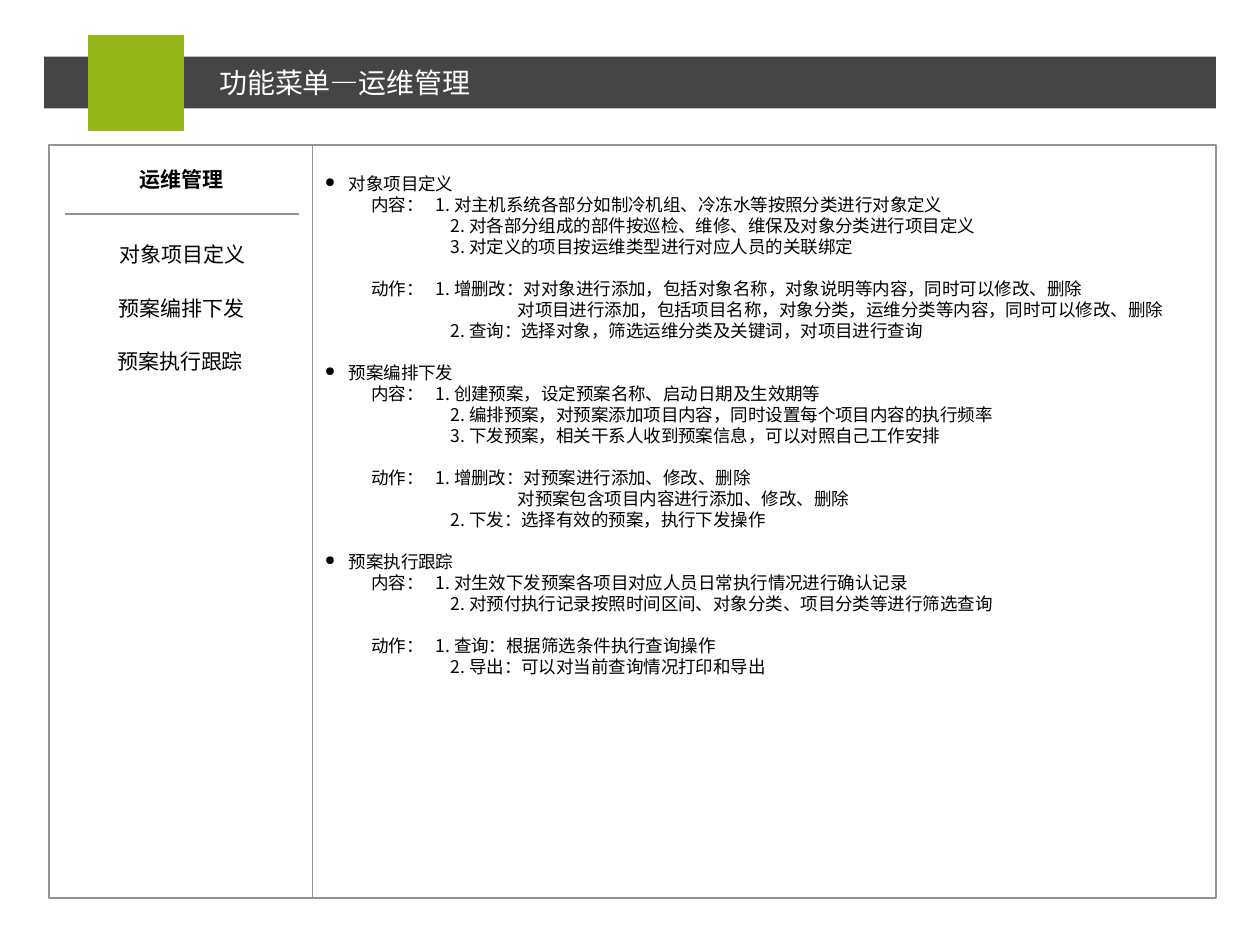
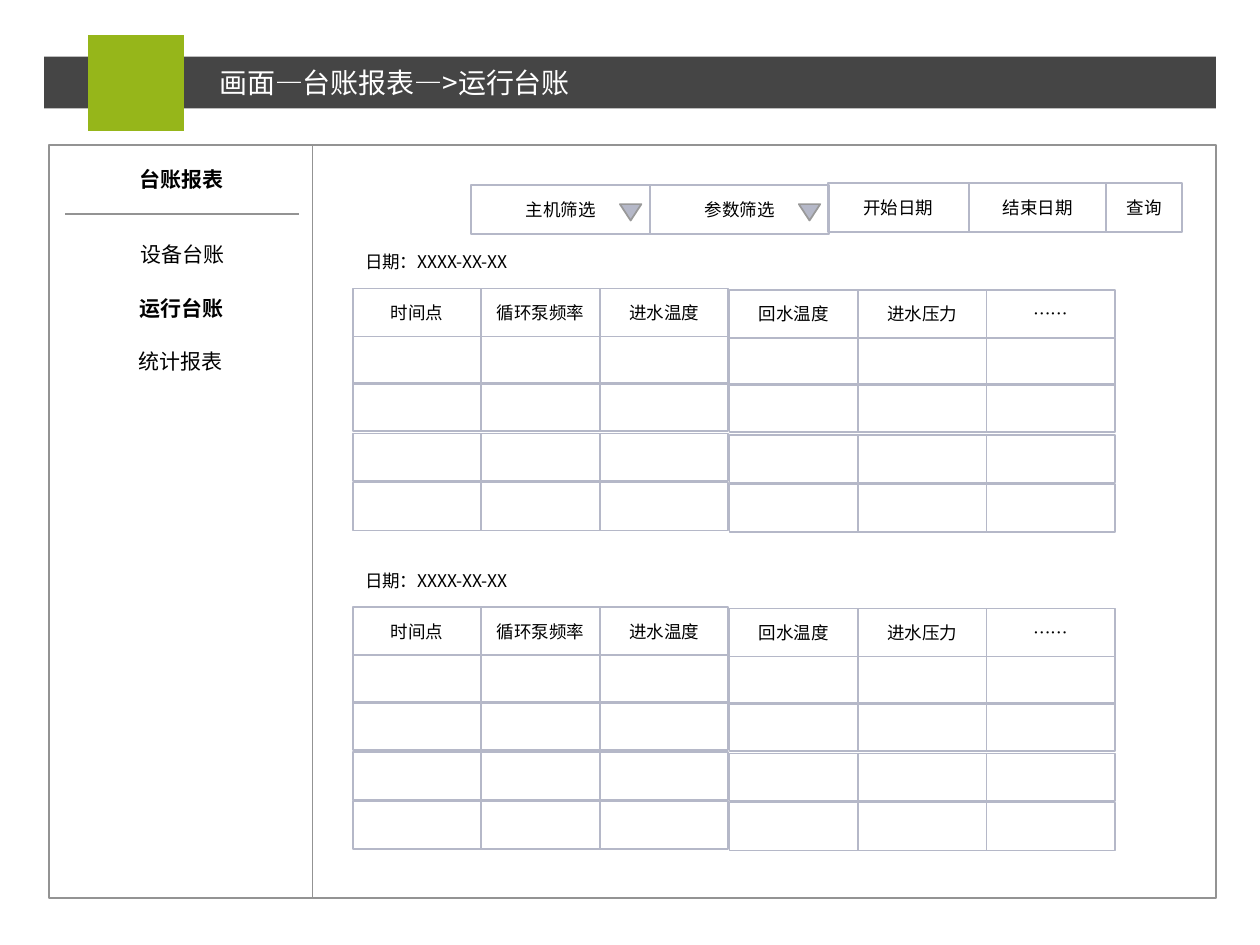
from lxml import etree
from pptx import Presentation
from pptx.dml.color import RGBColor
from pptx.enum import shapes, text
from pptx.oxml.ns import qn
from pptx.util import Inches, Pt

FONT = "Noto Sans CJK SC"
COLORS = {
    "band": "454545",
    "accent": "96B61A",
    "frame": "939393",
    "grid": "B5B8C8",
    "arrow_line": "999999",
    "white": "FFFFFF",
    "black": "000000",
}
RECT = shapes.MSO_SHAPE.RECTANGLE
CENTER, LEFT = text.PP_ALIGN.CENTER, text.PP_ALIGN.LEFT
MIDDLE = text.MSO_ANCHOR.MIDDLE
LINE_HEIGHT = Pt(12.03)

# Each section: heading, then (label, numbered lines) groups.
# A line that starts with a digit is an item, any other continues the item above.
FUNCTIONS = [
    ("对象项目定义", [
        ("内容：", ["1. 对主机系统各部分如制冷机组、冷冻水等按照分类进行对象定义",
                  "2. 对各部分组成的部件按巡检、维修、维保及对象分类进行项目定义",
                  "3. 对定义的项目按运维类型进行对应人员的关联绑定"]),
        ("动作：", ["1. 增删改：对对象进行添加，包括对象名称，对象说明等内容，同时可以修改、删除",
                  "对项目进行添加，包括项目名称，对象分类，运维分类等内容，同时可以修改、删除",
                  "2. 查询：选择对象，筛选运维分类及关键词，对项目进行查询"]),
    ]),
    ("预案编排下发", [
        ("内容：", ["1. 创建预案，设定预案名称、启动日期及生效期等",
                  "2. 编排预案，对预案添加项目内容，同时设置每个项目内容的执行频率",
                  "3. 下发预案，相关干系人收到预案信息，可以对照自己工作安排"]),
        ("动作：", ["1. 增删改：对预案进行添加、修改、删除",
                  "对预案包含项目内容进行添加、修改、删除",
                  "2. 下发：选择有效的预案，执行下发操作"]),
    ]),
    ("预案执行跟踪", [
        ("内容：", ["1. 对生效下发预案各项目对应人员日常执行情况进行确认记录",
                  "2. 对预付执行记录按照时间区间、对象分类、项目分类等进行筛选查询"]),
        ("动作：", ["1. 查询：根据筛选条件执行查询操作",
                  "2. 导出：可以对当前查询情况打印和导出"]),
    ]),
]

MENU_PLACES = [(0.53, 1.82), (0.52, 2.25), (0.51, 2.67)]
# Label, left, top, width, has a drop-down arrow
FILTERS = [
    ("主机筛选", 3.74, 1.47, 1.42, True),
    ("参数筛选", 5.16, 1.47, 1.42, True),
    ("开始日期", 6.57, 1.45, 1.12, False),
    ("结束日期", 7.69, 1.45, 1.09, False),
    ("查询", 8.78, 1.45, 0.6, False),
]
# Label, left, width, drop below the first columns
LOG_COLUMNS = [
    ("时间点", 2.8, 1.02, 0),
    ("循环泵频率", 3.82, 0.94, 0),
    ("进水温度", 4.76, 1.02, 0),
    ("回水温度", 5.79, 1.02, 0.01),
    ("进水压力", 6.81, 1.02, 0.01),
    ("……", 7.83, 1.02, 0.01),
]
LOG_ROWS = [0, 0.38, 0.75, 1.15, 1.54]


def rgb(name):
    return RGBColor.from_string(COLORS[name])


def style(para, size, color="black", bold=False, align=LEFT):
    para.alignment = align
    font = para.font
    font.name, font.size, font.bold = FONT, Pt(size), bold
    font.color.rgb = rgb(color)
    defaults = para._p.pPr.find(qn("a:defRPr"))
    etree.SubElement(defaults, qn("a:ea"), typeface=FONT)


def write(frame, words, size, **look):
    """Fill a text frame with one vertically centred paragraph."""
    frame.word_wrap = True
    frame.vertical_anchor = MIDDLE
    para = frame.paragraphs[0]
    para.text = words
    style(para, size, **look)


def add_box(page, left, top, width, height, fill=None, line=None, kind=RECT):
    box = page.shapes.add_shape(kind, Inches(left), Inches(top),
                                Inches(width), Inches(height))
    box.shadow.inherit = False
    if fill:
        box.fill.solid()
        box.fill.fore_color.rgb = rgb(fill)
    else:
        box.fill.background()
    if line:
        box.line.color.rgb = rgb(line)
        box.line.width = Pt(1)
    else:
        box.line.fill.background()
    return box


def add_rule(page, left, right, y):
    rule = page.shapes.add_connector(shapes.MSO_CONNECTOR.STRAIGHT, Inches(left),
                                     Inches(y), Inches(right), Inches(y))
    rule.line.color.rgb = rgb("frame")
    rule.line.width = Pt(1)
    etree.SubElement(rule._element.spPr, qn("a:effectLst"))


def add_menu(page, heading, items, current=None):
    def add_entry(words, left, top, bold):
        entry = add_box(page, left, top, 1.84, 0.39, fill="white")
        write(entry.text_frame, words, 12, bold=bold, align=CENTER)

    add_entry(heading, 0.52, 1.23, True)
    add_rule(page, 0.52, 2.37, 1.7)
    for item, (left, top) in zip(items, MENU_PLACES):
        add_entry(item, left, top, item == current)


def start_page(deck, title_words):
    """Add a slide with title band and two frames; return it and its content frame."""
    page = deck.slides.add_slide(deck.slide_layouts[5])
    add_box(page, 0.35, 0.45, 9.3, 0.41, fill="band")
    add_box(page, 0.7, 0.28, 0.76, 0.76, fill="accent")
    title = page.shapes.title
    title.left, title.top = Inches(1.64), Inches(0.51)
    title.width, title.height = Inches(6.88), Inches(0.29)
    write(title.text_frame, title_words, 16, color="white")
    title.text_frame.auto_size = text.MSO_AUTO_SIZE.NONE
    title.element.getparent().append(title.element)  # in front of the band
    add_box(page, 0.39, 1.15, 2.09, 5.98, line="frame")
    content = add_box(page, 2.48, 1.15, 7.17, 5.98, line="frame")
    return page, content


def add_line(frame, words, margin, hanging=0, gap=False, bullet=None):
    """Append a text line; a gap leaves one line free above it."""
    para = frame.paragraphs[0]
    if para.text:
        para = frame.add_paragraph()
    para.text = words
    para.line_spacing = LINE_HEIGHT
    para.space_before = LINE_HEIGHT if gap else 0
    style(para, 10)
    props = para._p.pPr
    props.set("marL", str(Inches(margin)))
    props.set("indent", str(-Inches(hanging)))
    if bullet:
        defaults = props.find(qn("a:defRPr"))
        defaults.addprevious(etree.Element(qn("a:buSzPct"), val="75000"))
        defaults.addprevious(etree.Element(qn("a:buChar"), char=bullet))


def write_functions(frame):
    frame.word_wrap = True
    frame.vertical_anchor = text.MSO_ANCHOR.TOP
    frame.margin_top = Inches(0.22)
    for section, (heading, groups) in enumerate(FUNCTIONS):
        add_line(frame, heading, 0.19, 0.19, gap=section > 0, bullet="●")
        for group, (label, lines) in enumerate(groups):
            add_line(frame, f"{label}\t{lines[0]}", 0.88, 0.51, gap=group > 0)
            for words in lines[1:]:
                add_line(frame, words, 1.0 if words[0].isdigit() else 1.53)


def add_filter(page, label, left, top, width, has_arrow):
    box = add_box(page, left, top, width, 0.39, line="grid")
    write(box.text_frame, label, 10, align=CENTER)
    if has_arrow:
        arrow = add_box(page, left + 1.18, top + 0.15, 0.17, 0.13, fill="grid",
                        line="arrow_line", kind=shapes.MSO_SHAPE.ISOSCELES_TRIANGLE)
        arrow.rotation = 180


def add_log(page, top):
    """Add a date line and the wireframe of the running log below it."""
    date = page.shapes.add_textbox(Inches(2.8), Inches(top), Inches(1.87), Inches(0.29))
    write(date.text_frame, "日期：XXXX-XX-XX", 10)
    for row, offset in enumerate(LOG_ROWS):
        for label, left, width, drop in LOG_COLUMNS:
            cell = add_box(page, left, top + 0.36 + offset + drop, width, 0.38, line="grid")
            if row == 0:
                write(cell.text_frame, label, 10, align=CENTER)


def main():
    deck = Presentation()
    deck.slide_width, deck.slide_height = Inches(10), Inches(7.5)

    page, content = start_page(deck, "功能菜单—运维管理")
    write_functions(content.text_frame)
    add_menu(page, "运维管理", [heading for heading, _ in FUNCTIONS])

    page, _ = start_page(deck, "画面—台账报表—>运行台账")
    add_menu(page, "台账报表", ["设备台账", "运行台账", "统计报表"], current="运行台账")
    for entry in FILTERS:
        add_filter(page, *entry)
    for top in (1.93, 4.46):
        add_log(page, top)

    deck.save("out.pptx")


if __name__ == "__main__":
    main()
